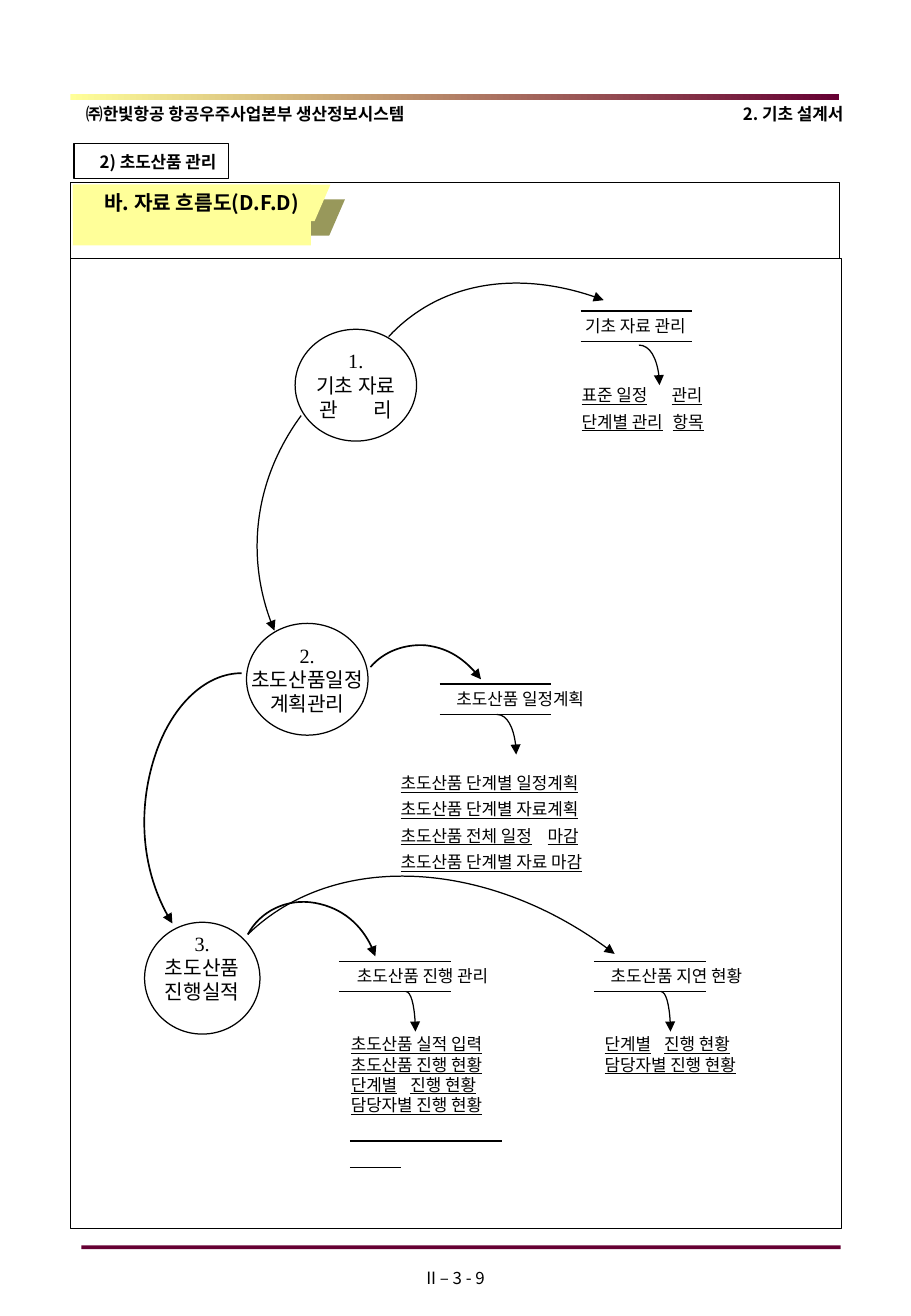
from lxml.etree import SubElement
from pptx import Presentation
from pptx.dml.color import RGBColor
from pptx.enum.shapes import MSO_CONNECTOR, MSO_SHAPE
from pptx.enum.text import MSO_ANCHOR, PP_ALIGN
from pptx.oxml.ns import qn
from pptx.util import Inches, Pt

SANS = "Noto Sans CJK KR"
SERIF = "Times New Roman"
MONO = "Courier New"
BLACK, WHITE, MAROON = "000000", "FFFFFF", "660033"
YELLOW, OLIVE = "FFFF99", "98985B"


def paint(target, color):
    """Give a fill or line format a solid colour."""
    fill = getattr(target, "fill", target)
    fill.solid()
    fill.fore_color.rgb = RGBColor.from_string(color)


def style(shape, fill=None, line=None):
    """Set the fill colour and the outline width of a shape."""
    shape.shadow.inherit = False
    if fill:
        paint(shape.fill, fill)
    else:
        shape.fill.background()
    if line:
        paint(shape.line, BLACK)
        shape.line.width = Pt(line)
    else:
        shape.line.fill.background()


def add_preset(page, kind, place, fill=None, line=None):
    """Add a preset shape at left, top, width, height."""
    shape = page.shapes.add_shape(kind, *map(Inches, place))
    style(shape, fill, line)
    return shape


def add_tab_stop(para, position):
    """Add a left tab stop to a paragraph."""
    stops = SubElement(para._p.get_or_add_pPr(), qn("a:tabLst"))
    SubElement(stops, qn("a:tab"), pos=str(Inches(position)), algn="l")


def write(shape, lines, font=SANS, size=10, bold=None, underline=None,
          align=PP_ALIGN.LEFT, spacing=None, wrap=True):
    """Write lines into a shape; a tuple holds a tabbed text and its tab stop."""
    frame = shape.text_frame
    frame.word_wrap = wrap
    frame.vertical_anchor = MSO_ANCHOR.TOP
    for index, line in enumerate(lines):
        para = frame.paragraphs[0] if index == 0 else frame.add_paragraph()
        para.alignment = align
        para.line_spacing = spacing
        text, stop = line if isinstance(line, tuple) else (line, None)
        if stop:
            add_tab_stop(para, stop)
        para.add_run().text = text
        para.font.name, para.font.size = font, Pt(size)
        para.font.bold, para.font.underline = bold, underline
        para.font.color.rgb = RGBColor.from_string(BLACK)
        SubElement(para.font._element, qn("a:ea"), typeface=SANS)


def add_text(page, place, lines, **format_options):
    """Add a text box."""
    box = page.shapes.add_textbox(*map(Inches, place))
    write(box, lines, **format_options)


def add_rule(page, left, right, y):
    """Add a thin horizontal line."""
    rule = page.shapes.add_connector(
        MSO_CONNECTOR.STRAIGHT, Inches(left), Inches(y), Inches(right), Inches(y))
    paint(rule.line, BLACK)
    rule.line.width = Pt(0.75)
    SubElement(rule._element.spPr, qn("a:effectLst"))


def add_outline(page, points, close):
    """Add a freeform through the given points."""
    start, *rest = [(Inches(x), Inches(y)) for x, y in points]
    builder = page.shapes.build_freeform(*start)
    builder.add_line_segments(rest, close=close)
    return builder.convert_to_shape()


def add_flow(page, points, width=0.75):
    """Add a Bezier curve with an arrowhead at its end."""
    flow = add_outline(page, points, close=False)
    style(flow, line=width)
    steps = list(flow._element.iter(qn("a:lnTo")))
    for first in range(0, len(steps), 3):
        curve = SubElement(steps[first].getparent(), qn("a:cubicBezTo"))
        for step in steps[first:first + 3]:
            curve.extend(list(step))
            step.getparent().remove(step)
    SubElement(flow.line._get_or_add_ln(), qn("a:tailEnd"), type="triangle")


def add_process(page, place, lines, bottom_inset=0.05):
    """Add a process circle."""
    circle = add_preset(page, MSO_SHAPE.OVAL, place, WHITE, 0.75)
    write(circle, lines, font=SERIF, size=12, align=PP_ALIGN.CENTER, wrap=False)
    circle.text_frame.vertical_anchor = MSO_ANCHOR.MIDDLE
    circle.text_frame.margin_bottom = Inches(bottom_inset)
    return circle


def spread_last_line(shape, text, points):
    """Replace the last line by a text whose inner space is widened."""
    para = shape.text_frame.paragraphs[-1]
    left, right = text.split()
    para.runs[0].text = left
    gap = para.add_run()
    gap.text = " "
    gap.font._element.set("spc", str(points * 100))
    para.add_run().text = right


def add_store(page, left, top, label, label_left, arrow, arrow_width):
    """Add a data store between two rules, with the arrow that leaves it."""
    for y in (top, top + 0.25):
        add_rule(page, left, left + 0.92, y)
    add_text(page, (label_left, top - 0.01, 1.5, 0.27), [label], font=SERIF)
    x, y = arrow
    add_flow(page, [(x, y), (x + arrow_width * 0.55, y),
                    (x + arrow_width, y + 0.15), (x + arrow_width, y + 0.33)])


def add_page_frame(page):
    """Add the header, footer and frames."""
    add_text(page, (0.61, 0.79, 3.2, 0.29), ["㈜한빛항공 항공우주사업본부 생산정보시스템"],
             bold=True, spacing=1.1)
    add_text(page, (5.54, 0.79, 1.5, 0.29), ["2. 기초 설계서"],
             bold=True, spacing=1.1, align=PP_ALIGN.RIGHT)
    add_text(page, (3.06, 10.38, 1.38, 0.3), ["II – 3 - 9"], align=PP_ALIGN.CENTER)
    add_preset(page, MSO_SHAPE.RECTANGLE, (0.58, 1.5, 6.33, 8.5), line=0.25)
    band = add_preset(page, MSO_SHAPE.RECTANGLE, (0.58, 0.77, 6.33, 0.05))
    band.fill.gradient()
    band.fill.gradient_angle = 0
    for stop, color in zip(band.fill.gradient_stops, (YELLOW, MAROON)):
        stop.color.rgb = RGBColor.from_string(color)
    add_preset(page, MSO_SHAPE.RECTANGLE, (0.67, 10.25, 6.25, 0.03), MAROON)
    section = add_preset(page, MSO_SHAPE.RECTANGLE, (0.61, 1.18, 1.27, 0.29), line=0.75)
    write(section, ["2) 초도산품 관리"], bold=True, spacing=1.1, align=PP_ALIGN.RIGHT)
    add_preset(page, MSO_SHAPE.RECTANGLE, (0.58, 2.13, 6.35, 7.98), WHITE, 0.75)


def add_title(page):
    """Add the yellow title flag with its shade."""
    for shift, color in ((0.12, OLIVE), (0, YELLOW)):
        corners = [(0.6, 1.82), (0.6, 1.52), (2.72, 1.52), (2.59, 1.82)]
        flag = add_outline(page, [(x + shift, y + shift) for x, y in corners], close=True)
        style(flag, color)
    title = add_preset(page, MSO_SHAPE.RECTANGLE, (0.6, 1.52, 1.96, 0.5), YELLOW)
    write(title, ["바. 자료 흐름도(D.F.D)"], size=12, bold=True, align=PP_ALIGN.RIGHT)


def add_diagram(page):
    """Add the processes, stores, lists and flows."""
    basics = add_process(page, (2.43, 2.71, 1, 0.92), ["1.", "기초 자료", "관리"])
    spread_last_line(basics, "관 리", 18)
    add_process(page, (2.03, 5.13, 1, 0.92), ["2.", "초도산품일정", "계획관리"])
    add_process(page, (1.19, 7.59, 0.95, 0.92), ["3.", "초도산품", "진행실적"], 0.23)

    add_store(page, 4.78, 2.56, "기초 자료 관리", 4.72, (5.26, 2.84), 0.17)
    add_store(page, 3.62, 5.63, "초도산품 일정계획", 3.66, (4.09, 5.88), 0.16)
    add_store(page, 2.79, 7.91, "초도산품 진행 관리", 2.84, (3.34, 8.16), 0.08)
    add_store(page, 4.89, 7.91, "초도산품 지연 현황", 4.93, (5.44, 8.16), 0.08)

    add_text(page, (4.69, 3.07, 1.74, 0.54),
             [("표준 일정\t관리", 0.74), ("단계별 관리\t항목", 0.75)],
             font=MONO, underline=True, spacing=1.3)
    add_text(page, (3.2, 6.26, 1.94, 0.97),
             ["초도산품 단계별 일정계획", "초도산품 단계별 자료계획",
              ("초도산품 전체 일정\t마감", 1.21), "초도산품 단계별 자료 마감"],
             font=MONO, underline=True, spacing=1.3)
    progress = [("단계별\t진행 현황", 0.49), "담당자별 진행 현황"]
    add_text(page, (2.79, 8.46, 1.5, 0.8),
             ["초도산품 실적 입력", "초도산품 진행 현황", *progress], underline=True)
    add_text(page, (4.88, 8.46, 1.5, 0.44), progress, underline=True)
    add_rule(page, 2.88, 4.13, 9.39)
    add_rule(page, 2.88, 3.3, 9.61)

    add_flow(page, [(3.2, 2.77), (3.63, 2.31), (4.32, 2.22), (4.97, 2.47)])
    add_flow(page, [(2.48, 3.42), (2.09, 3.95), (2.02, 4.63), (2.26, 5.19)])
    add_flow(page, [(3.05, 5.49), (3.16, 5.36), (3.33, 5.3), (3.5, 5.31),
                    (3.68, 5.33), (3.85, 5.44), (3.96, 5.59)], 1)
    add_flow(page, [(1.99, 5.54), (1.7, 5.54), (1.43, 5.79), (1.29, 6.18),
                    (1.13, 6.63), (1.16, 7.19), (1.42, 7.6)], 1)
    add_flow(page, [(2.04, 7.69), (2.14, 7.5), (2.36, 7.39), (2.59, 7.43),
                    (2.82, 7.47), (3.02, 7.65), (3.09, 7.87)], 1)
    add_flow(page, [(2.04, 7.69), (2.75, 7), (4.05, 7.07), (5.06, 7.85)])


def main():
    """Build the data flow page."""
    deck = Presentation()
    deck.slide_width, deck.slide_height = Inches(7.5), Inches(10.83)
    page = deck.slides.add_slide(deck.slide_layouts[6])
    add_page_frame(page)
    add_title(page)
    add_diagram(page)
    deck.save("out.pptx")


if __name__ == "__main__":
    main()
